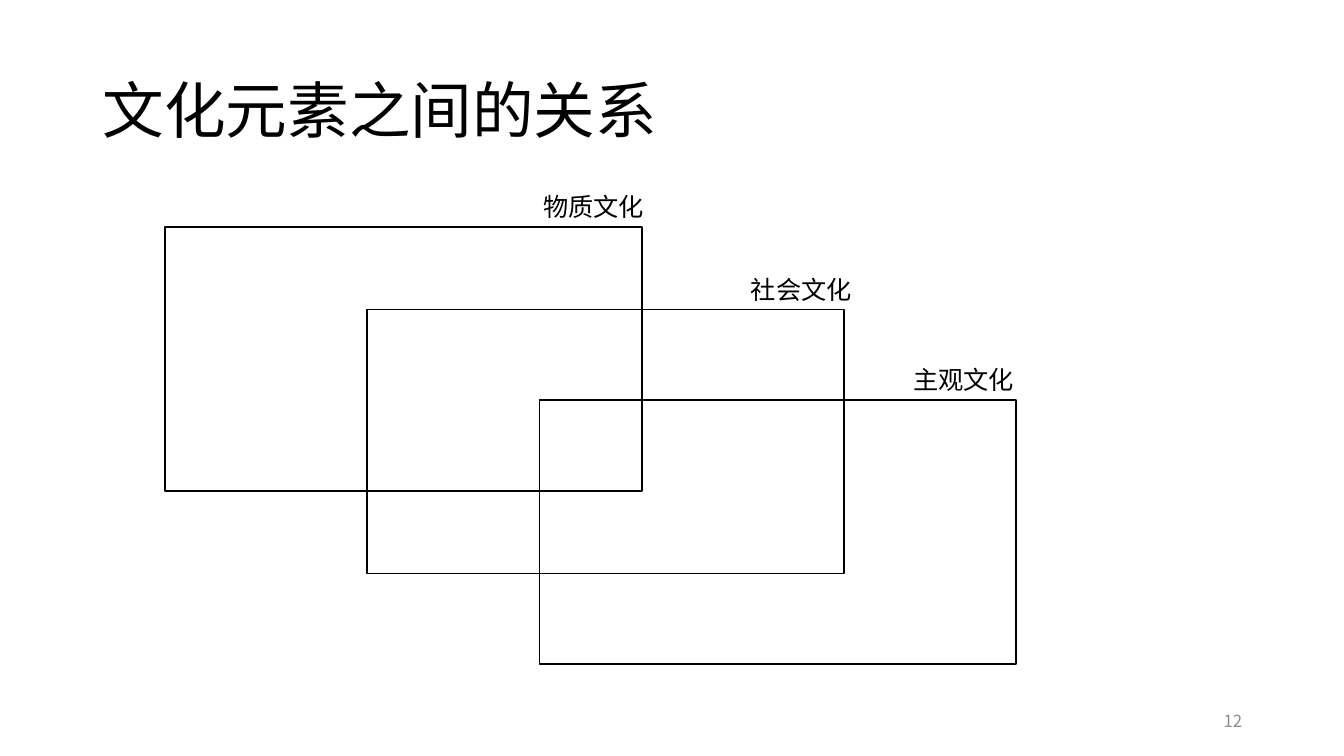
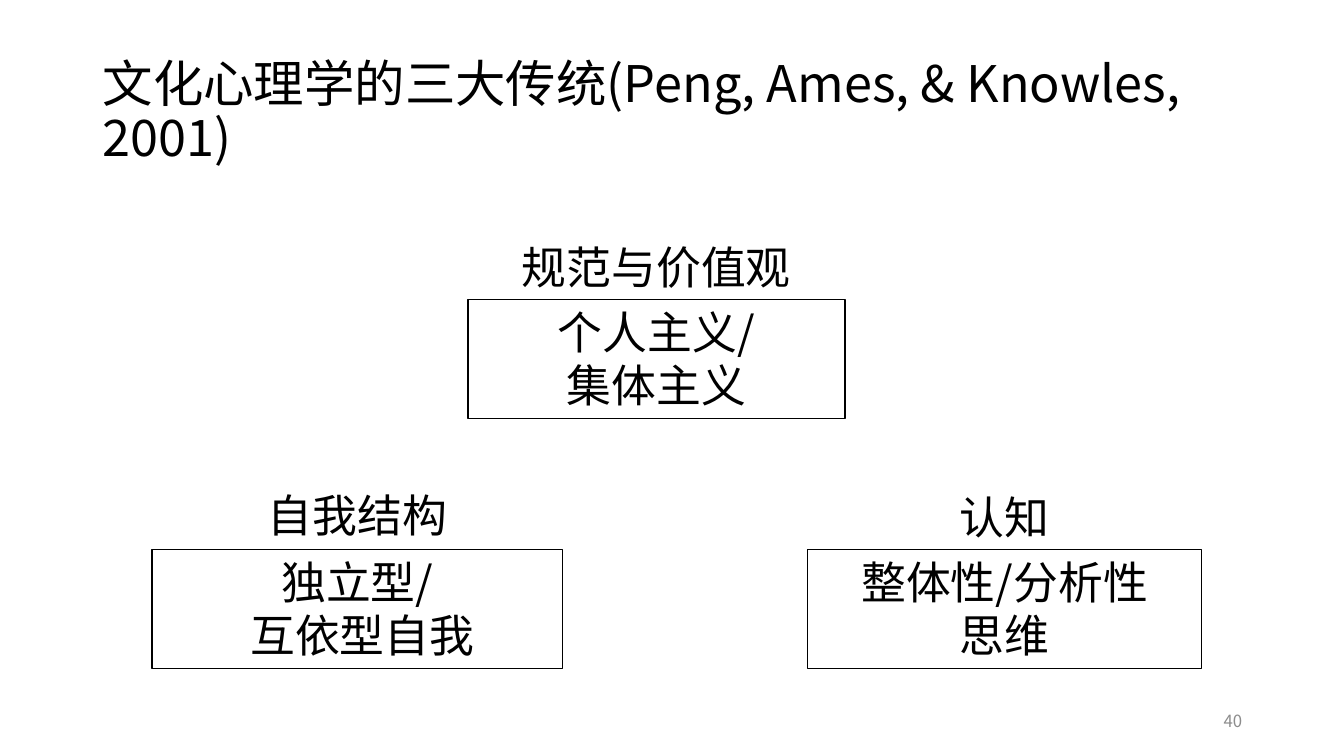
from dataclasses import dataclass

from lxml import etree
from pptx import Presentation
from pptx.dml.color import RGBColor
from pptx.enum import shapes, text
from pptx.oxml import ns
from pptx.util import Inches, Pt


@dataclass(frozen=True)
class Theme:
    font: str = "Noto Sans CJK SC"
    ink: RGBColor = RGBColor(0x00, 0x00, 0x00)
    muted: RGBColor = RGBColor(0x8C, 0x8C, 0x8C)
    label: int = 18
    body: int = 32
    number: int = 12


THEME = Theme()
LEFT, CENTER, RIGHT = text.PP_ALIGN.LEFT, text.PP_ALIGN.CENTER, text.PP_ALIGN.RIGHT
TOP, MIDDLE = text.MSO_ANCHOR.TOP, text.MSO_ANCHOR.MIDDLE


def add_words(slide, box, words, size, align=LEFT, anchor=TOP,
              color=THEME.ink, spacing=None, outline=None):
    """Put words in a text box, or in a rectangle if an outline width is given."""
    place = [Inches(length) for length in box]
    if outline:
        shape = slide.shapes.add_shape(shapes.MSO_SHAPE.RECTANGLE, *place)
        shape.shadow.inherit = False
        shape.fill.background()
        shape.line.color.rgb = THEME.ink
        shape.line.width = Pt(outline)
    else:
        shape = slide.shapes.add_textbox(*place)
    frame = shape.text_frame
    frame.word_wrap = True
    frame.vertical_anchor = anchor
    frame.text = words
    for paragraph in frame.paragraphs:
        paragraph.alignment = align
        paragraph.line_spacing = spacing
        font = paragraph.font
        font.name = THEME.font
        font.size = Pt(size)
        font.color.rgb = color
        east_asian = etree.SubElement(paragraph._p.pPr.find(ns.qn("a:defRPr")), ns.qn("a:ea"))
        east_asian.set("typeface", THEME.font)


def add_page(title, title_size, number):
    slide = deck.slides.add_slide(deck.slide_layouts[6])
    add_words(slide, (0.92, 0.4, 11.5, 1.45), title, title_size, anchor=MIDDLE, spacing=0.9)
    add_words(slide, (9.42, 6.95, 3, 0.4), number, THEME.number, RIGHT, MIDDLE, THEME.muted)
    return slide


deck = Presentation()
deck.slide_width, deck.slide_height = Inches(13.33), Inches(7.5)

# Overlapping layers of culture
elements = add_page("文化元素之间的关系", 44, "12")
for layer, left, top, label_left in (
    ("物质文化", 1.64, 2.25, 5.29),
    ("社会文化", 3.64, 3.07, 7.35),
    ("主观文化", 5.35, 3.97, 8.96),
):
    add_words(elements, (left, top, 4.73, 2.62), "", THEME.label, outline=1.25)
    add_words(elements, (label_left, top - 0.4, 1.95, 0.4), layer, THEME.label)

# Three traditions, each a heading above its box
traditions = add_page("文化心理学的三大传统(Peng, Ames, & Knowles, 2001)", 36, "40")
for heading, contrast, left, top, width, heading_top in (
    ("规范与价值观", "个人主义/\v集体主义", 4.64, 2.97, 3.74, 2.33),
    ("自我结构", "独立型/\n 互依型自我", 1.51, 5.45, 4.07, 4.79),
    ("认知", "整体性/分析性\n思维", 8.01, 5.45, 3.91, 4.81),
):
    add_words(traditions, (left, heading_top, width, 0.64), heading, THEME.body, CENTER)
    add_words(traditions, (left, top, width, 1.18), contrast, THEME.body, CENTER, outline=1)

deck.save("out.pptx")
